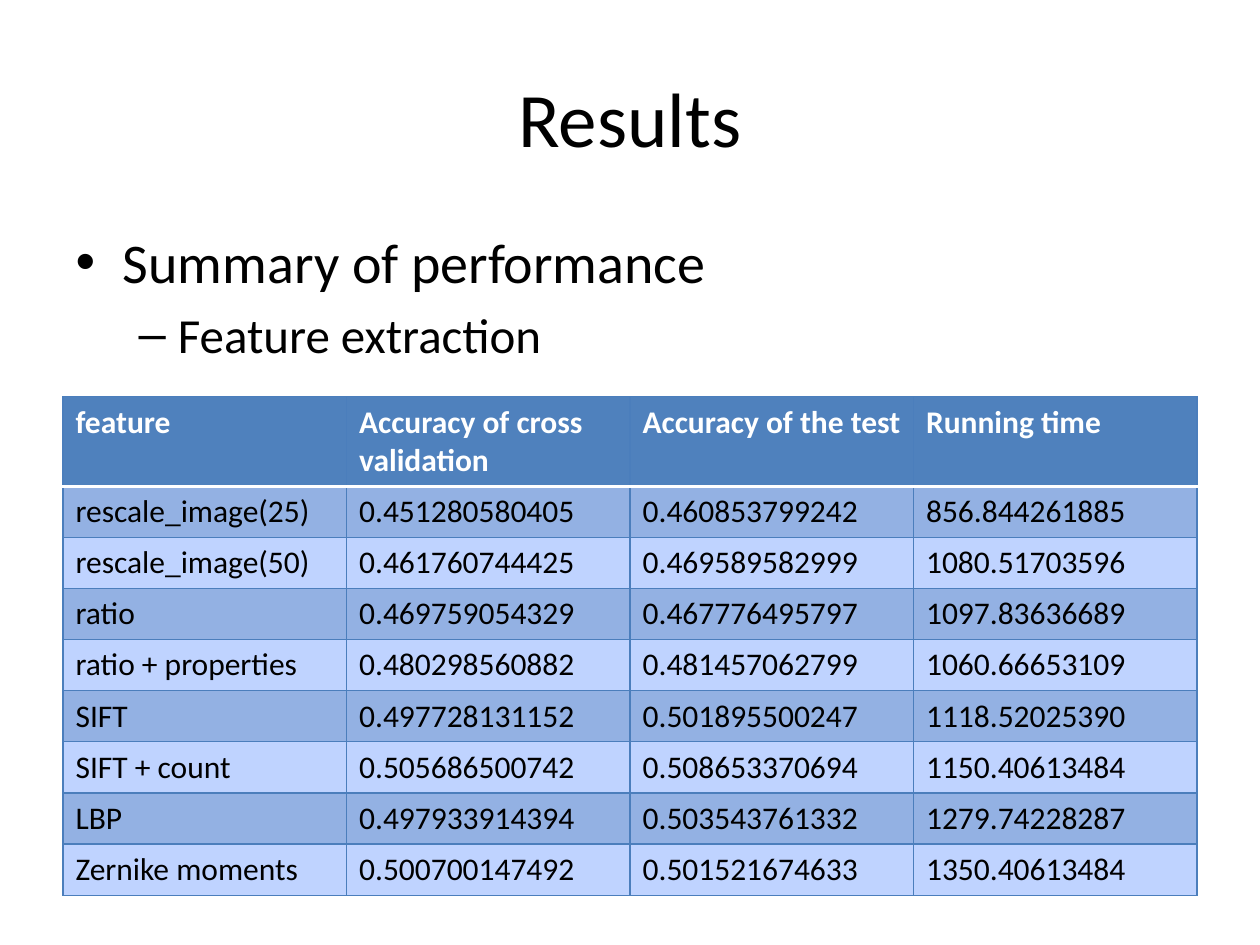
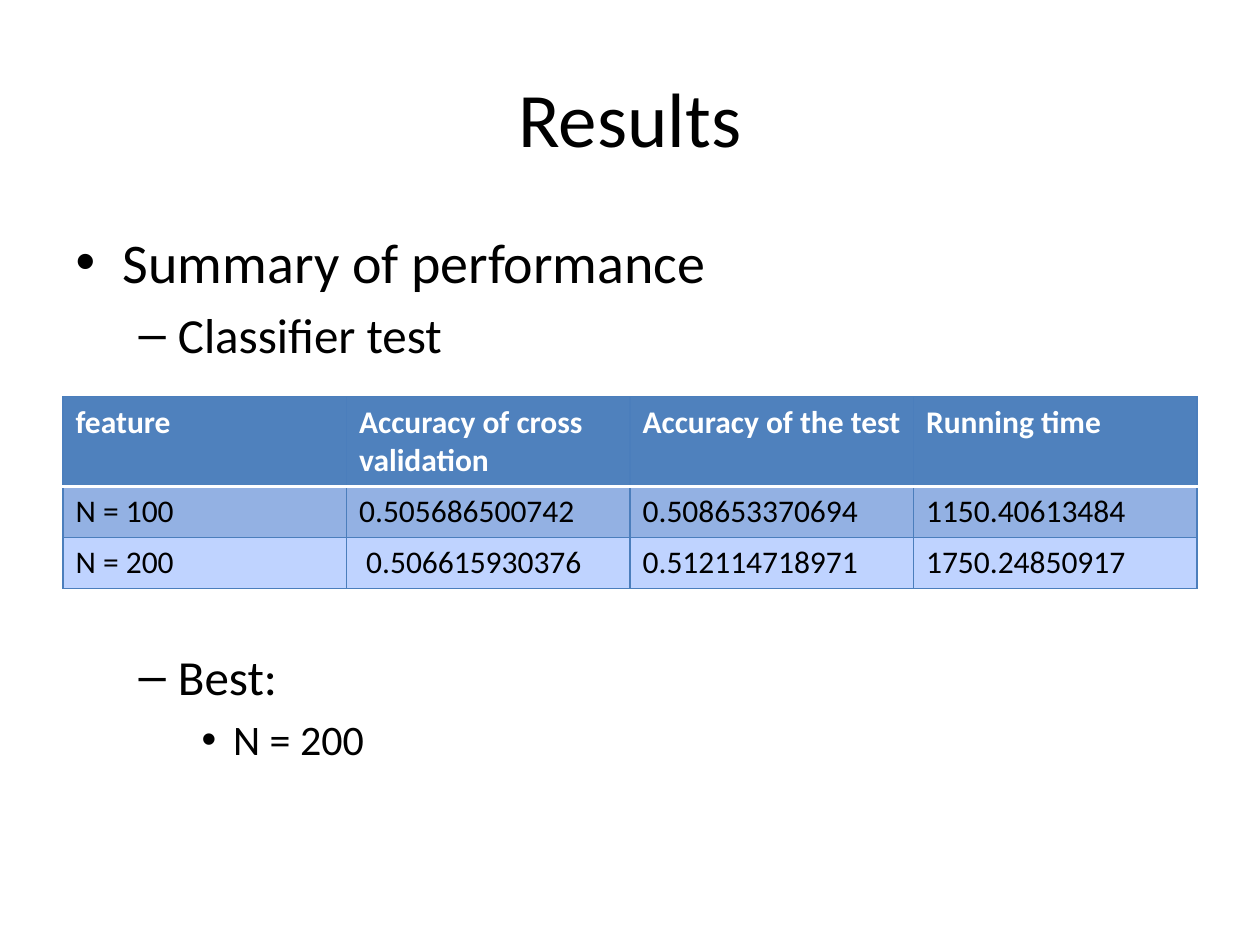
"""Build two results slides, each with a bullet list and a table."""
from dataclasses import dataclass

from lxml import etree
from pptx import Presentation
from pptx.dml.color import RGBColor
from pptx.enum.text import MSO_ANCHOR, MSO_AUTO_SIZE, PP_ALIGN
from pptx.oxml.ns import qn
from pptx.util import Cm, Pt

CENTER = PP_ALIGN.CENTER
MIDDLE = MSO_ANCHOR.MIDDLE
NO_AUTOFIT = MSO_AUTO_SIZE.NONE

COLORS = {
    "text": "000000",
    "header_text": "FFFFFF",
    "header": "4F81BD",
    "band_dark": "93B1E3",
    "band_light": "BFD3FF",
    "border": "4B7EBC",
    "header_rule": "FFFFFF",
}
FONT = "Calibri"
TITLE_SIZE = 44
LEVEL_SIZES = (32, 28, 24)
TABLE_SIZE = 18

LEFT, WIDTH = Cm(1.27), Cm(22.86)
TITLE_TOP, TITLE_HEIGHT = Cm(0.76), Cm(3.18)
BODY_TOP, BODY_HEIGHT = Cm(4.45), Cm(12.57)
TABLE_TOP = Cm(8)
HEADER_HEIGHT, ROW_HEIGHT = Cm(1.8), Cm(1.03)
BORDER_WIDTH, RULE_WIDTH = Pt(0.75), Pt(2)
TABLE_GAP = 162  # points of space before a bullet placed below the table

HEADINGS = ("feature", "Accuracy of cross validation",
            "Accuracy of the test", "Running time")


@dataclass(frozen=True)
class Bullet:
    """One list entry with its level and optional space before, in points."""
    text: str
    level: int = 0
    gap: float | None = None


@dataclass(frozen=True)
class ResultsPage:
    """The bullets and table rows of one slide."""
    bullets: tuple[Bullet, ...]
    rows: tuple[tuple[str, ...], ...]


PAGES = (
    ResultsPage(
        (Bullet("Summary of performance"), Bullet("Feature extraction", 1)),
        (
            ("rescale_image(25)", "0.451280580405", "0.460853799242", "856.844261885"),
            ("rescale_image(50)", "0.461760744425", "0.469589582999", "1080.51703596"),
            ("ratio", "0.469759054329", "0.467776495797", "1097.83636689"),
            ("ratio + properties", "0.480298560882", "0.481457062799", "1060.66653109"),
            ("SIFT", "0.497728131152", "0.501895500247", "1118.52025390"),
            ("SIFT + count", "0.505686500742", "0.508653370694", "1150.40613484"),
            ("LBP", "0.497933914394", "0.503543761332", "1279.74228287"),
            ("Zernike moments", "0.500700147492", "0.501521674633", "1350.40613484"),
        ),
    ),
    ResultsPage(
        (Bullet("Summary of performance"), Bullet("Classifier test", 1),
         Bullet("Best:", 1, TABLE_GAP), Bullet("N = 200", 2)),
        (
            ("N = 100", "0.505686500742", "0.508653370694", "1150.40613484"),
            ("N = 200", " 0.506615930376", "0.512114718971", "1750.24850917"),
        ),
    ),
)


def add_span(para, text: str, size: float, color: str = "text", bold: bool = False) -> None:
    """Add one formatted run to a paragraph."""
    span = para.add_run()
    span.text = text
    span.font.name = FONT
    span.font.size = Pt(size)
    span.font.bold = bold
    span.font.color.rgb = RGBColor.from_string(COLORS[color])


def place(box, top: int, height: int) -> None:
    """Move a placeholder to the shared column of the page."""
    box.left, box.top, box.width, box.height = LEFT, top, WIDTH, height


def add_title(page, text: str) -> None:
    """Fill the title placeholder."""
    box = page.shapes.title
    place(box, TITLE_TOP, TITLE_HEIGHT)
    box.text_frame.vertical_anchor = MIDDLE
    para = box.text_frame.paragraphs[0]
    para.alignment = CENTER
    add_span(para, text, TITLE_SIZE)


def add_bullets(page, bullets: tuple[Bullet, ...]) -> None:
    """Fill the body placeholder with a multilevel list."""
    box = page.placeholders[1]
    place(box, BODY_TOP, BODY_HEIGHT)
    frame = box.text_frame
    frame.auto_size = NO_AUTOFIT
    for index, bullet in enumerate(bullets):
        para = frame.add_paragraph() if index else frame.paragraphs[0]
        para.level = bullet.level
        if bullet.gap is not None:
            para.space_before = Pt(bullet.gap)
        add_span(para, bullet.text, LEVEL_SIZES[bullet.level])


def add_border(cell, side: str, color: str, width: int) -> None:
    """Draw one cell edge; side is L, R, T or B."""
    properties = cell._tc.get_or_add_tcPr()
    line = etree.SubElement(properties, qn(f"a:ln{side}"), w=str(int(width)))
    fill = etree.SubElement(line, qn("a:solidFill"))
    etree.SubElement(fill, qn("a:srgbClr"), val=COLORS[color])


def style_cell(cell, row: int, text: str) -> None:
    """Write and colour a cell according to its row."""
    is_header = row == 0
    rule_sides = {0: "B", 1: "T"}.get(row, "")
    for side in "LRTB":
        if side in rule_sides:
            add_border(cell, side, "header_rule", RULE_WIDTH)
        else:
            add_border(cell, side, "border", BORDER_WIDTH)
    band = "header" if is_header else "band_dark" if row % 2 else "band_light"
    cell.fill.solid()
    cell.fill.fore_color.rgb = RGBColor.from_string(COLORS[band])
    add_span(cell.text_frame.paragraphs[0], text, TABLE_SIZE,
             "header_text" if is_header else "text", is_header)


def add_results_table(page, rows: tuple[tuple[str, ...], ...]) -> None:
    """Add the table of results under the shared headings."""
    height = HEADER_HEIGHT + ROW_HEIGHT * len(rows)
    table = page.shapes.add_table(len(rows) + 1, len(HEADINGS),
                                  LEFT, TABLE_TOP, WIDTH, height).table
    for row, texts in enumerate((HEADINGS, *rows)):
        table.rows[row].height = ROW_HEIGHT if row else HEADER_HEIGHT
        for column, text in enumerate(texts):
            style_cell(table.cell(row, column), row, text)


def main() -> None:
    """Build and save the deck."""
    deck = Presentation()
    deck.slide_width, deck.slide_height = Cm(25.4), Cm(19.05)
    for content in PAGES:
        page = deck.slides.add_slide(deck.slide_layouts[1])
        add_title(page, "Results")
        add_bullets(page, content.bullets)
        add_results_table(page, content.rows)
    deck.save("out.pptx")


main()
